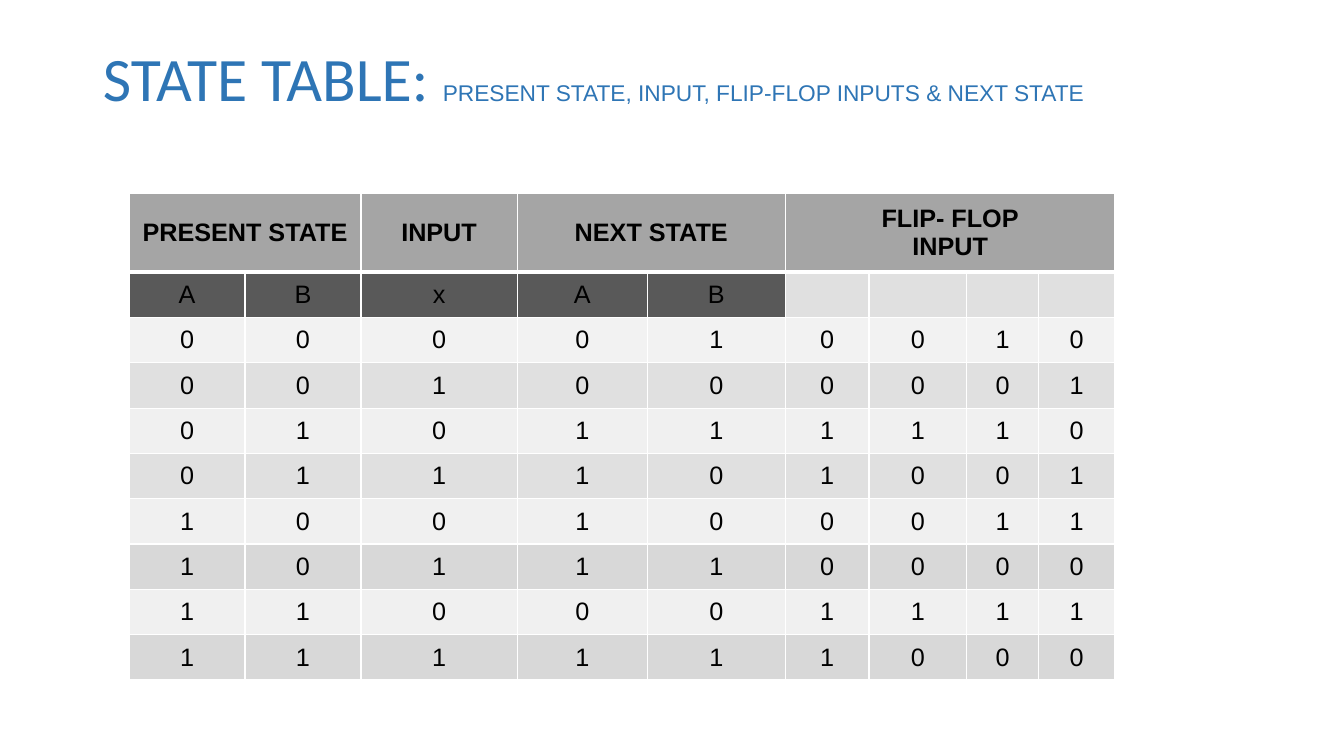
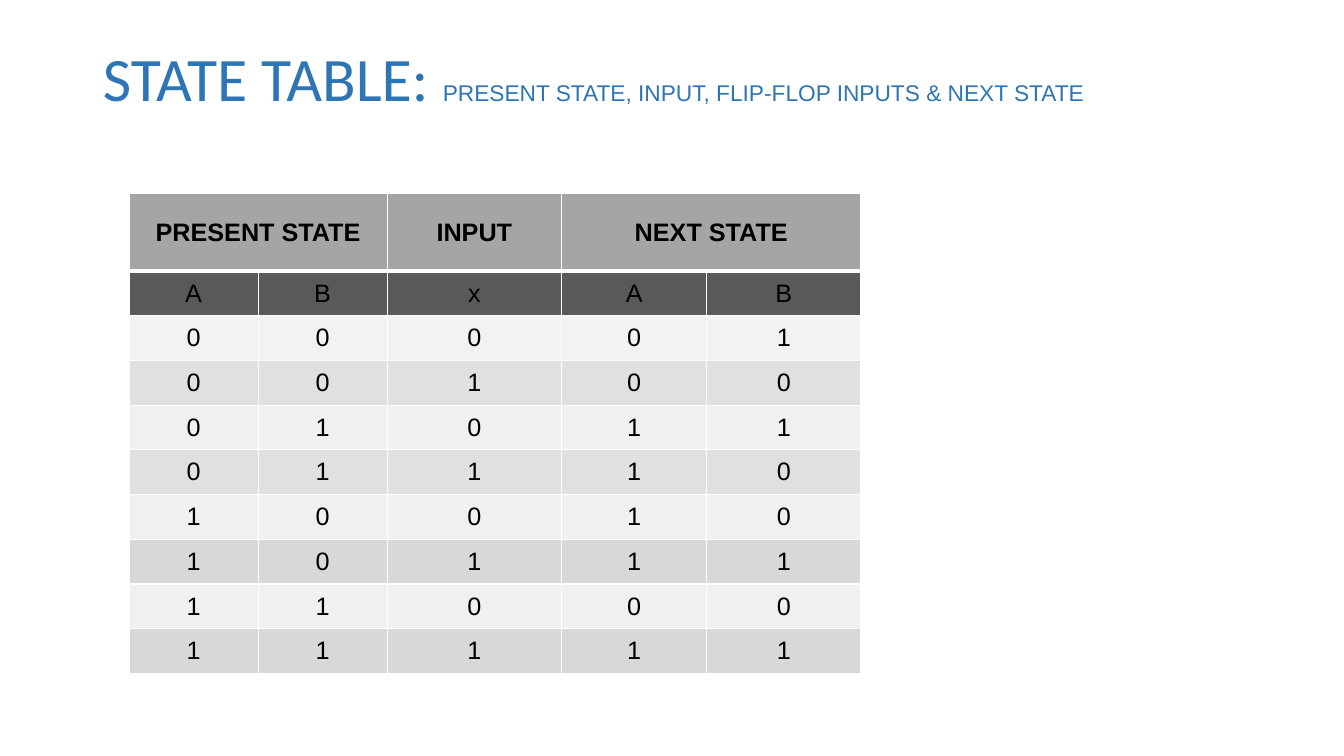
from dataclasses import dataclass

from lxml import etree
from pptx import Presentation
from pptx.dml.color import RGBColor
from pptx.enum.text import MSO_ANCHOR, MSO_AUTO_SIZE, PP_ALIGN
from pptx.oxml.ns import qn
from pptx.util import Inches, Pt

LEFT, CENTER = PP_ALIGN.LEFT, PP_ALIGN.CENTER
TOP, MIDDLE = MSO_ANCHOR.TOP, MSO_ANCHOR.MIDDLE
TITLE_ONLY = 5


@dataclass(frozen=True)
class Theme:
    heading_font: str = "Calibri"
    text_font: str = "Arial"
    heading_size: float = 44.1
    subtitle_size: float = 16.2
    table_size: float = 18
    accent: str = "2E75B5"
    text: str = "000000"
    grid: str = "FFFFFF"
    group_fill: str = "A5A5A5"
    variable_fill: str = "595959"
    band_fills: tuple = ("F2F2F2", "E0E0E0", "F0F0F0", "E0E0E0",
                         "F0F0F0", "D8D8D8", "F0F0F0", "D8D8D8")
    grid_width: float = 1
    header_rule: float = 3


THEME = Theme()

SLIDE_WIDTH, SLIDE_HEIGHT = 13.33, 7.5
TITLE_BOX = (0.92, 0.4, 11.5, 1.03)
TABLE_LEFT, TABLE_TOP = 1.28, 1.92

TITLE = "STATE TABLE: "
SUBTITLE = "PRESENT STATE, INPUT, FLIP-FLOP INPUTS & NEXT STATE"

# Each group heading with the number of columns it spans
STATE_GROUPS = [("PRESENT STATE", 2), ("INPUT", 1), ("NEXT STATE", 2)]
FLIP_FLOP_GROUP = ("FLIP- FLOP\nINPUT", 4)
VARIABLES = ["A", "B", "x", "A", "B"]

# Present A B, input x, next A B, then the four flip-flop inputs
STATES = ["000010010", "001000001", "010111110", "011101001",
          "100100011", "101110000", "110001111", "111111000"]


def style_font(font, name, size, color, bold=False):
    font.name = name
    font.size = Pt(size)
    font.bold = bold
    font.color.rgb = RGBColor.from_string(color)


def add_title(slide):
    title = slide.shapes.title
    title.left, title.top, title.width, title.height = map(Inches, TITLE_BOX)
    frame = title.text_frame
    frame.auto_size = MSO_AUTO_SIZE.NONE
    frame.vertical_anchor = TOP
    frame.margin_top = Inches(0.08)
    line = frame.paragraphs[0]
    line.alignment = LEFT
    line.line_spacing = 0.9
    for text, font, size in (
        (TITLE, THEME.heading_font, THEME.heading_size),
        (SUBTITLE, THEME.text_font, THEME.subtitle_size),
    ):
        run = line.add_run()
        run.text = text
        style_font(run.font, font, size, THEME.accent)


def set_borders(cell, top, bottom):
    """Draw the four cell edges; the side edges keep the grid width."""
    properties = cell._tc.get_or_add_tcPr()
    widths = {"lnL": THEME.grid_width, "lnR": THEME.grid_width,
              "lnT": top, "lnB": bottom}
    for position, (edge, width) in enumerate(widths.items()):
        line = etree.Element(qn(f"a:{edge}"), w=str(Pt(width)))
        fill = etree.SubElement(line, qn("a:solidFill"))
        etree.SubElement(fill, qn("a:srgbClr"), val=THEME.grid)
        properties.insert(position, line)


def fill_cell(cell, text, fill, bold=False,
              top=THEME.grid_width, bottom=THEME.grid_width):
    cell.fill.solid()
    cell.fill.fore_color.rgb = RGBColor.from_string(fill)
    set_borders(cell, top, bottom)
    cell.vertical_anchor = MIDDLE
    cell.text = text
    for paragraph in cell.text_frame.paragraphs:
        paragraph.alignment = CENTER
        style_font(paragraph.font, THEME.text_font, THEME.table_size,
                   THEME.text, bold)


def add_group_row(table, groups):
    column = 0
    for heading, span in groups:
        for offset in range(span):
            fill_cell(table.cell(0, column + offset),
                      "" if offset else heading, THEME.group_fill,
                      bold=True, bottom=THEME.header_rule)
        if span > 1:
            table.cell(0, column).merge(table.cell(0, column + span - 1))
        column += span


def add_state_table(slide, groups, widths, header_height, height):
    """Add the truth table, cut to as many columns as there are widths."""
    row_count = len(STATES) + 2
    table = slide.shapes.add_table(
        row_count, len(widths), Inches(TABLE_LEFT), Inches(TABLE_TOP),
        Inches(sum(widths)), Inches(height)).table
    table.first_row = table.horz_banding = False

    for column, width in zip(table.columns, widths):
        column.width = Inches(width)
    row_height = (height - header_height) / (row_count - 1)
    for index, row in enumerate(table.rows):
        row.height = Inches(row_height if index else header_height)

    add_group_row(table, groups)
    for column in range(len(widths)):
        named = column < len(VARIABLES)
        fill_cell(table.cell(1, column),
                  VARIABLES[column] if named else "",
                  THEME.variable_fill if named else THEME.band_fills[1],
                  top=THEME.header_rule)
    for row, (bits, fill) in enumerate(zip(STATES, THEME.band_fills), start=2):
        for column, bit in enumerate(bits[:len(widths)]):
            fill_cell(table.cell(row, column), bit, fill)


def add_state_slide(presentation, **table_layout):
    slide = presentation.slides.add_slide(
        presentation.slide_layouts[TITLE_ONLY])
    add_title(slide)
    add_state_table(slide, **table_layout)


def main():
    presentation = Presentation()
    presentation.slide_width = Inches(SLIDE_WIDTH)
    presentation.slide_height = Inches(SLIDE_HEIGHT)
    add_state_slide(
        presentation,
        groups=STATE_GROUPS + [FLIP_FLOP_GROUP],
        widths=[1.15, 1.15, 1.55, 1.29, 1.37, 0.83, 0.97, 0.71, 0.76],
        header_height=0.78, height=4.83)
    add_state_slide(
        presentation,
        groups=STATE_GROUPS,
        widths=[1.28, 1.28, 1.73, 1.44, 1.53],
        header_height=0.77, height=4.76)
    presentation.save("out.pptx")


if __name__ == "__main__":
    main()
